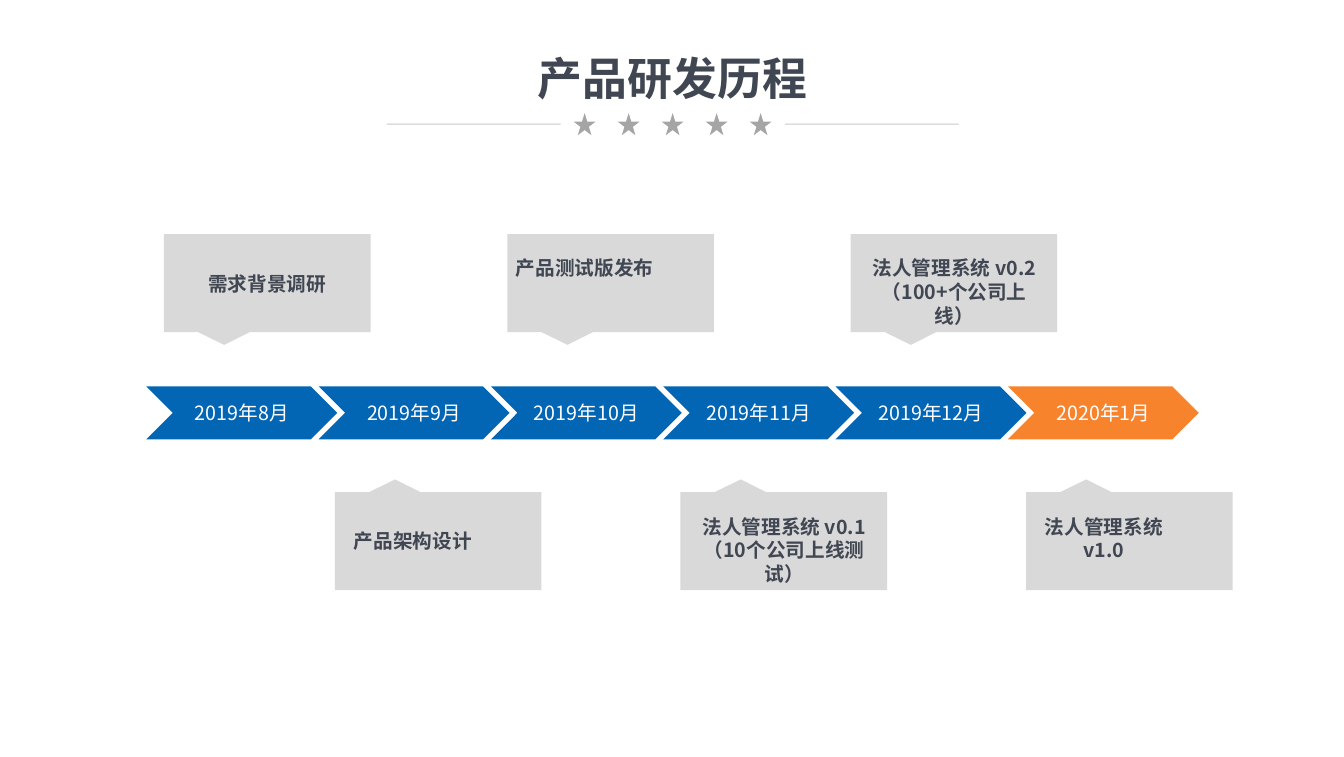
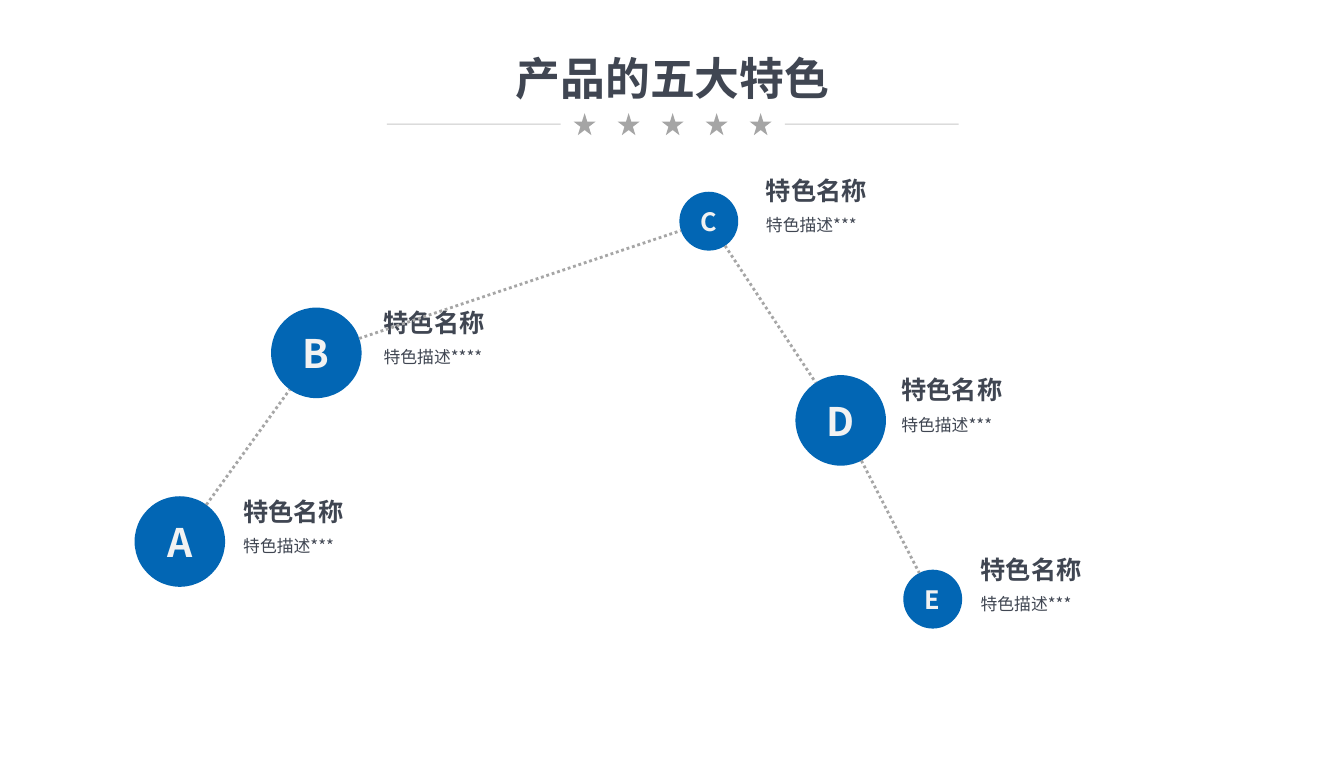
from dataclasses import dataclass
from math import hypot
from typing import NamedTuple

from lxml.etree import SubElement
from pptx import Presentation
from pptx.dml.color import RGBColor
from pptx.enum.dml import MSO_LINE
from pptx.enum.shapes import MSO_CONNECTOR, MSO_SHAPE
from pptx.enum.text import MSO_ANCHOR, PP_ALIGN
from pptx.oxml.ns import qn
from pptx.util import Pt


@dataclass(frozen=True)
class Theme:
    font: str = "Noto Sans CJK SC"
    blue: str = "0266B4"
    orange: str = "F8832D"
    ink: str = "404652"
    white: str = "FFFFFF"
    pale: str = "F2F2F2"
    panel: str = "D9D9D9"
    star: str = "A5A5A5"
    link: str = "A6A6A6"
    title: float = 32
    letter: float = 28
    heading: float = 18
    body: float = 14
    detail: float = 12
    leading: float = 1.2
    inset: float = 3.6


class Box(NamedTuple):
    left: float
    top: float
    width: float
    height: float

    def points(self):
        return [Pt(length) for length in self]


THEME = Theme()
PAGE = Box(0, 0, 959.04, 540)


# Shared drawing helpers
def write(shape, text, size=THEME.body, color=THEME.ink, bold=False,
          align=PP_ALIGN.LEFT, anchor=MSO_ANCHOR.TOP, inset=THEME.inset, wrap=True):
    frame = shape.text_frame
    frame.word_wrap = wrap
    frame.vertical_anchor = anchor
    frame.margin_left = frame.margin_right = Pt(inset)
    frame.margin_top = frame.margin_bottom = Pt(inset)
    for index, line in enumerate(text.split("\n")):
        para = frame.add_paragraph() if index else frame.paragraphs[0]
        para.alignment = align
        para.line_spacing = Pt(size * THEME.leading)
        span = para.add_run()
        span.text = line
        span.font.size = Pt(size)
        span.font.bold = bold
        span.font.color.rgb = RGBColor.from_string(color)
        span.font.name = THEME.font
        SubElement(span.font._element, qn("a:ea"), typeface=THEME.font)


def add_text(page, box, text, **style):
    write(page.shapes.add_textbox(*box.points()), text, **style)


def paint(shape, color):
    shape.shadow.inherit = False
    shape.fill.solid()
    shape.fill.fore_color.rgb = RGBColor.from_string(color)
    shape.line.fill.background()
    return shape


def add_shape(page, kind, box, color):
    return paint(page.shapes.add_shape(kind, *box.points()), color)


def add_line(page, start, end, color, width, dash=None, opacity=None):
    ends = [Pt(length) for length in (*start, *end)]
    line = page.shapes.add_connector(MSO_CONNECTOR.STRAIGHT, *ends)
    line.line.color.rgb = RGBColor.from_string(color)
    line.line.width = Pt(width)
    if dash:
        line.line.dash_style = dash
    properties = line._element.spPr
    if opacity:
        tint = next(properties.iter(qn("a:srgbClr")))
        SubElement(tint, qn("a:alpha"), val=str(opacity * 1000))
    SubElement(properties, qn("a:effectLst"))


# Title with a row of stars between two rules
def draw_header(page, box, title):
    add_text(page, Box(box.left, box.top, box.width, 52), title, size=THEME.title,
             bold=True, align=PP_ALIGN.CENTER, wrap=False)
    middle, height = box.left + box.width / 2, box.top + 56.2
    star, step, count = 15.8, 31.4, 5
    for index in range(count):
        center = middle + (index - (count - 1) / 2) * step
        add_shape(page, MSO_SHAPE.STAR_5_POINT,
                  Box(center - star / 2, height - star / 2, star, star), THEME.star)
    for side in (-1, 1):
        add_line(page, (middle + side * 80, height), (middle + side * 204, height),
                 THEME.star, 0.75, opacity=60)


# Row of month arrows
def draw_months(page, box, months):
    arrow = 136.2
    step = (box.width - arrow) / (len(months) - 1)
    for index, month in enumerate(months):
        color = THEME.orange if month == months[-1] else THEME.blue
        shape = add_shape(page, MSO_SHAPE.CHEVRON,
                          Box(box.left + index * step, box.top, arrow, box.height), color)
        write(shape, month, color=THEME.white, align=PP_ALIGN.CENTER,
              anchor=MSO_ANCHOR.MIDDLE)


# Panel with a pointer at its lower or upper edge; label is relative to the panel
def draw_callout(page, box, text, label, align, points_up):
    body = box.height - 9
    outline = [(0, 0), (box.width, 0), (box.width, body), (61, body),
               (43, box.height), (24.5, body), (0, body)]
    corners = [(Pt(box.left + x), Pt(box.top + (box.height - y if points_up else y)))
               for x, y in outline]
    builder = page.shapes.build_freeform(*corners[0], scale=1.0)
    builder.add_line_segments(corners[1:], close=True)
    paint(builder.convert_to_shape(), THEME.panel)
    left, top, width = label
    add_text(page, Box(box.left + left, box.top + top, width, 27), text,
             bold=True, align=align)


def draw_history(deck):
    page = deck.slides.add_slide(deck.slide_layouts[6])
    draw_months(page, Box(104.4, 275.6, 751, 37.8),
                ["2019年8月", "2019年9月", "2019年10月", "2019年11月", "2019年12月",
                 "2020年1月"])
    left, center = PP_ALIGN.LEFT, PP_ALIGN.CENTER
    rows = [
        (Box(117, 167, 147.4, 79), 245, False, [
            ("需求背景调研", (0, 23.5, 147.4), center),
            ("产品测试版发布", (2.6, 12.3, 112), left),
            ("法人管理系统 v0.2\n（100+个公司上线）", (7, 12.3, 134), center)]),
        (Box(239, 342, 147.4, 79), 246.6, True, [
            ("产品架构设计", (10, 31.7, 98), left),
            ("法人管理系统 v0.1\n（10个公司上线测试）", (2, 21.6, 144), center),
            ("法人管理系统 v1.0", (9.6, 21.6, 92), center)]),
    ]
    for first, step, points_up, events in rows:
        for index, (text, label, align) in enumerate(events):
            box = first._replace(left=first.left + index * step)
            draw_callout(page, box, text, label, align, points_up)
    return page


# Lettered circle
def draw_circle(page, box, letter, size):
    shape = add_shape(page, MSO_SHAPE.OVAL, box, THEME.blue)
    write(shape, letter, size=size, color=THEME.pale, bold=True, inset=0,
          align=PP_ALIGN.CENTER, anchor=MSO_ANCHOR.MIDDLE)


# Name and description of a feature
def draw_feature(page, box, name, detail):
    add_text(page, box._replace(height=28.8), name, size=THEME.heading, bold=True)
    add_text(page, Box(box.left, box.top + 28.3, box.width, 21.6), detail,
             size=THEME.detail)


# Dotted line from the edge of one circle to the edge of the next
def link_circles(page, first, second):
    (x1, y1, r1), (x2, y2, r2) = [
        (box.left + box.width / 2, box.top + box.height / 2, box.width / 2)
        for box in (first, second)]
    distance = hypot(x2 - x1, y2 - y1)
    across, down = (x2 - x1) / distance, (y2 - y1) / distance
    add_line(page, (x1 + across * r1, y1 + down * r1),
             (x2 - across * r2, y2 - down * r2), THEME.link, 2, MSO_LINE.ROUND_DOT)


def draw_features(deck):
    page = deck.slides.add_slide(deck.slide_layouts[6])
    large, small = (64.6, THEME.letter), (42, THEME.heading)
    features = [
        ("A", 96, 354, large, (170, 350.6), "特色描述***"),
        ("B", 193.4, 219.4, large, (270.2, 215.4), "特色描述****"),
        ("C", 484.8, 136.8, small, (543, 121.4), "特色描述***"),
        ("D", 567.6, 267.6, large, (639.6, 263.8), "特色描述***"),
        ("E", 644.6, 406.4, small, (696.2, 391.6), "特色描述***"),
    ]
    circles = []
    for letter, left, top, (diameter, size), corner, detail in features:
        circles.append(Box(left, top, diameter, diameter))
        draw_circle(page, circles[-1], letter, size)
        draw_feature(page, Box(*corner, 188, 50), "特色名称", detail)
    for first, second in zip(circles, circles[1:]):
        link_circles(page, first, second)
    return page


def main():
    deck = Presentation()
    deck.slide_width, deck.slide_height = Pt(PAGE.width), Pt(PAGE.height)
    header = Box(350, 32.4, 260, 64)
    draw_header(draw_history(deck), header, "产品研发历程")
    draw_header(draw_features(deck), header, "产品的五大特色")
    deck.save("out.pptx")


if __name__ == "__main__":
    main()
